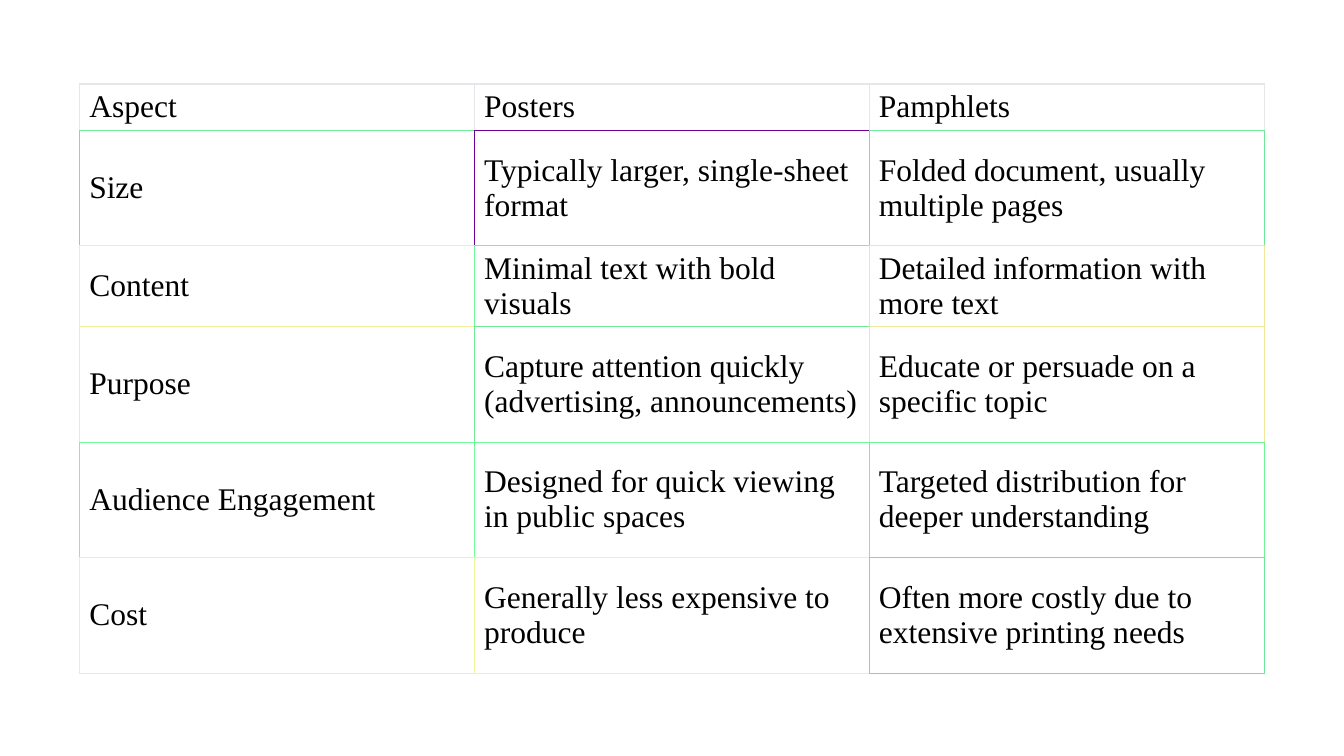
from lxml import etree
from pptx import Presentation
from pptx import util as u
from pptx.dml.color import RGBColor
from pptx.enum import text
from pptx.oxml.ns import qn

PX = 9525  # EMU per px, 96 px to the inch
SLIDE_WIDTH, SLIDE_HEIGHT = 1280, 720
TABLE_LEFT, TABLE_TOP = 76, 80
COLUMN_WIDTH = 376
ROW_HEIGHTS = [44, 110, 77, 110, 110, 110]

BLACK = RGBColor(0x00, 0x00, 0x00)
GREY = RGBColor(0xE5, 0xE7, 0xEB)

HEADER_LINE, BODY_LINE = u.Pt(1), u.Pt(0.75)
FONT = {"name": "Times New Roman", "size": u.Pt(22.5), "bold": False}
MARGINS = {
    "margin_left": 9 * PX,
    "margin_right": 9 * PX,
    "margin_top": 5 * PX,
    "margin_bottom": 5 * PX,
}

ROWS = [
    ["Aspect", "Posters", "Pamphlets"],
    ["Size", "Typically larger, single-sheet format",
     "Folded document, usually multiple pages"],
    ["Content", "Minimal text with bold visuals",
     "Detailed information with more text"],
    ["Purpose", "Capture attention quickly (advertising, announcements)",
     "Educate or persuade on a specific topic"],
    ["Audience Engagement", "Designed for quick viewing in public spaces",
     "Targeted distribution for deeper understanding"],
    ["Cost", "Generally less expensive to produce",
     "Often more costly due to extensive printing needs"],
]

# Each cell's own line colour
LINE_COLORS = [[GREY] * 3] + [
    [RGBColor.from_string(color) for color in line.split()]
    for line in (
        "70EA99 70009A 70E899",
        "F0F399 70F799 F0E899",
        "F0F199 70E899 F0E999",
        "70FC99 70F999 70F499",
        "F0F399 F0F699 70E499",
    )
]


def set_format(target, values):
    for name, value in values.items():
        setattr(target, name, value)


def add_border(cell, side, color, width):
    properties = cell._tc.get_or_add_tcPr()
    line = etree.SubElement(properties, qn(f"a:ln{side}"), w=str(int(width)))
    fill = etree.SubElement(line, qn("a:solidFill"))
    etree.SubElement(fill, qn("a:srgbClr"), val=str(color))


def line_of(row, column):
    """Return colour and width of a cell's line, clamped to the table."""
    row = min(row, len(ROWS) - 1)
    column = min(column, len(ROWS[0]) - 1)
    return LINE_COLORS[row][column], BODY_LINE if row else HEADER_LINE


def format_cell(cell, row, column):
    # Right and bottom lines take the neighbour's colour
    neighbours = {"L": (row, column), "R": (row, column + 1),
                  "T": (row, column), "B": (row + 1, column)}
    for side, position in neighbours.items():
        add_border(cell, side, *line_of(*position))
    cell.fill.background()
    set_format(cell, MARGINS)
    anchor = text.MSO_ANCHOR.MIDDLE if row else text.MSO_ANCHOR.TOP
    cell.vertical_anchor = anchor
    cell.text = ROWS[row][column]
    font = cell.text_frame.paragraphs[0].runs[0].font
    set_format(font, FONT)
    font.color.rgb = BLACK


def add_comparison_table(slide):
    column_count = len(ROWS[0])
    table = slide.shapes.add_table(
        len(ROWS), column_count, TABLE_LEFT * PX, TABLE_TOP * PX,
        column_count * COLUMN_WIDTH * PX, sum(ROW_HEIGHTS) * PX).table
    set_format(table, {"first_row": False, "horz_banding": False})
    for column in table.columns:
        column.width = COLUMN_WIDTH * PX
    for row, height in enumerate(ROW_HEIGHTS):
        table.rows[row].height = height * PX
        for column in range(column_count):
            format_cell(table.cell(row, column), row, column)


def main():
    presentation = Presentation()
    set_format(presentation, {"slide_width": SLIDE_WIDTH * PX,
                              "slide_height": SLIDE_HEIGHT * PX})
    # Blank layout
    slide = presentation.slides.add_slide(presentation.slide_layouts[6])
    add_comparison_table(slide)
    presentation.save("out.pptx")


if __name__ == "__main__":
    main()
